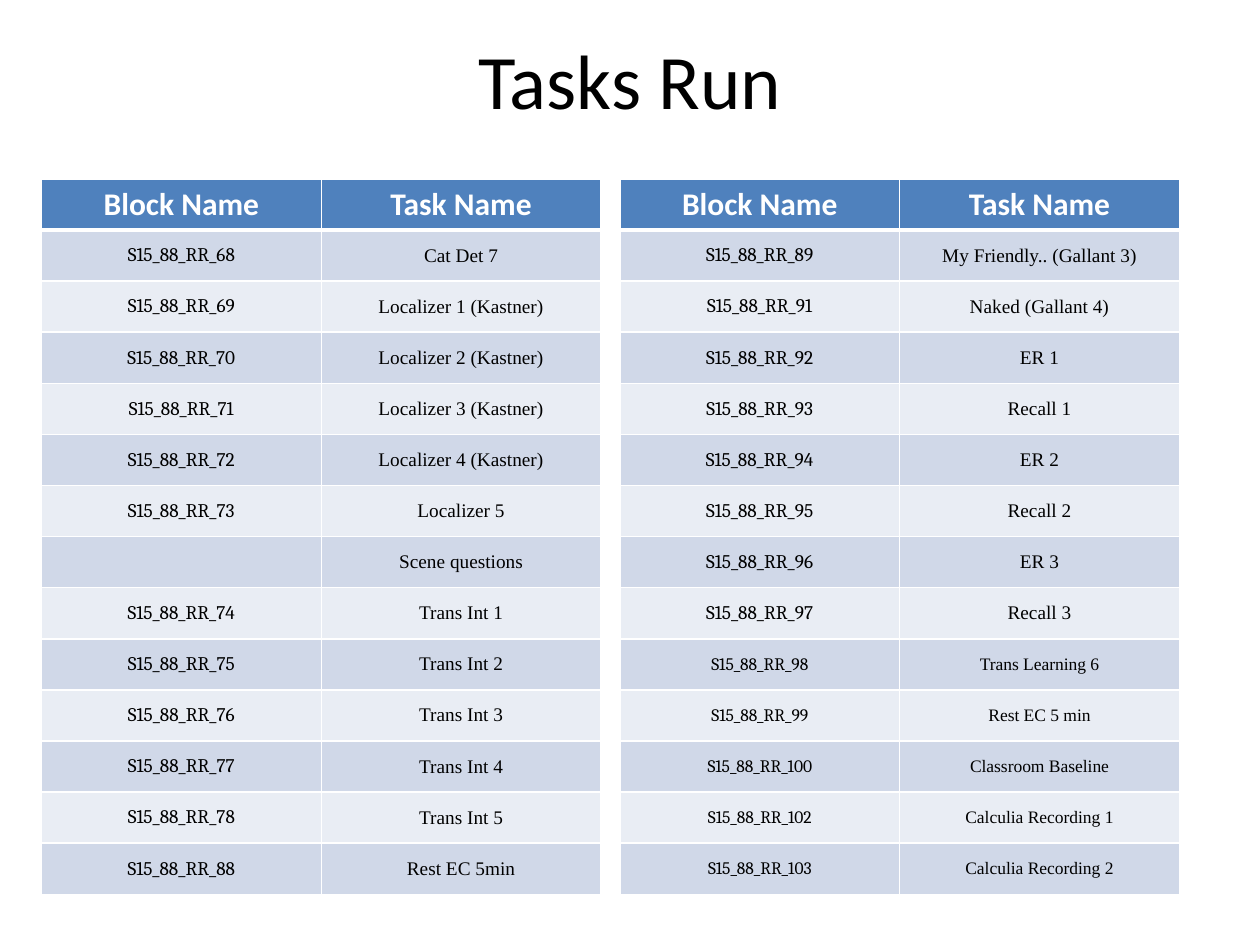
from lxml.etree import SubElement
from pptx import Presentation
from pptx.dml.color import RGBColor
from pptx.enum.text import MSO_ANCHOR as Anchor, PP_ALIGN as Align
from pptx.oxml.ns import qn
from pptx.util import Inches, Pt

LEFT_TASKS = [
    ("S15_88_RR_68", "Cat Det 7"),
    ("S15_88_RR_69", "Localizer 1 (Kastner)"),
    ("S15_88_RR_70", "Localizer 2 (Kastner)"),
    ("S15_88_RR_71", "Localizer 3 (Kastner)"),
    ("S15_88_RR_72", "Localizer 4 (Kastner)"),
    ("S15_88_RR_73", "Localizer 5"),
    ("", "Scene questions"),
    ("S15_88_RR_74", "Trans Int 1"),
    ("S15_88_RR_75", "Trans Int 2"),
    ("S15_88_RR_76", "Trans Int 3"),
    ("S15_88_RR_77", "Trans Int 4"),
    ("S15_88_RR_78", "Trans Int 5"),
    ("S15_88_RR_88", "Rest EC 5min"),
]
RIGHT_TASKS = [
    ("S15_88_RR_89", "My Friendly.. (Gallant 3)"),
    ("S15_88_RR_91", "Naked (Gallant 4)"),
    ("S15_88_RR_92", "ER 1"),
    ("S15_88_RR_93", "Recall 1"),
    ("S15_88_RR_94", "ER 2"),
    ("S15_88_RR_95", "Recall 2"),
    ("S15_88_RR_96", "ER 3"),
    ("S15_88_RR_97", "Recall 3"),
    ("S15_88_RR_98", "Trans Learning 6"),
    ("S15_88_RR_99", "Rest EC 5 min"),
    ("S15_88_RR_100", "Classroom Baseline"),
    ("S15_88_RR_102", "Calculia Recording 1"),
    ("S15_88_RR_103", "Calculia Recording 2"),
]
HEADER = ("Block Name", "Task Name")
BODY_FONTS = ("Cambria", "Times New Roman")
HEADER_FILL = "4F81BD"
BAND_FILLS = ("E9EDF4", "D0D8E8")


def write_text(frame, text, font="Calibri", size=18, color="000000", bold=False):
    para = frame.paragraphs[0]
    para.alignment = Align.CENTER
    para.font.size = Pt(size)
    if text:
        span = para.add_run()
        span.text = text
        span.font.name = font
        span.font.size = Pt(size)
        span.font.bold = bold
        span.font.color.rgb = RGBColor.from_string(color)


def add_borders(cell, top=1, bottom=1):
    """Draw white borders, widths in points; call before setting the cell's fill."""
    properties = cell._tc.get_or_add_tcPr()
    for side, width in (("L", 1), ("R", 1), ("T", top), ("B", bottom)):
        line = SubElement(properties, qn(f"a:ln{side}"), w=str(Pt(width)))
        fill = SubElement(line, qn("a:solidFill"))
        SubElement(fill, qn("a:srgbClr"), val="FFFFFF")


deck = Presentation()
deck.slide_width, deck.slide_height = Inches(10), Inches(7.5)
page = deck.slides.add_slide(deck.slide_layouts[6])

title = page.shapes.add_textbox(Inches(0.5), 0, Inches(9), Inches(1.25))
title.text_frame.word_wrap = True
title.text_frame.vertical_anchor = Anchor.MIDDLE
write_text(title.text_frame, "Tasks Run", size=44)

# The last entry is the first row set in the smaller body size.
for left, tasks, small_from in ((0.33, LEFT_TASKS, 14), (4.92, RIGHT_TASKS, 9)):
    rows = [HEADER, *tasks]
    table = page.shapes.add_table(
        len(rows), 2, Inches(left), Inches(1.42), Inches(4.44), Inches(5.68)
    ).table
    for row, texts in enumerate(rows):
        for column, text in enumerate(texts):
            cell = table.cell(row, column)
            cell.vertical_anchor = Anchor.MIDDLE
            add_borders(cell, top=3 if row == 1 else 1, bottom=3 if row == 0 else 1)
            cell.fill.solid()
            fill = BAND_FILLS[row % 2] if row else HEADER_FILL
            cell.fill.fore_color.rgb = RGBColor.from_string(fill)
            if row == 0:
                write_text(cell.text_frame, text, color="FFFFFF", bold=True)
            else:
                cell.margin_left = cell.margin_right = Inches(0.07)
                cell.margin_top = cell.margin_bottom = 0
                size = 10 if row >= small_from else 11
                write_text(cell.text_frame, text, font=BODY_FONTS[column], size=size)

deck.save("out.pptx")
